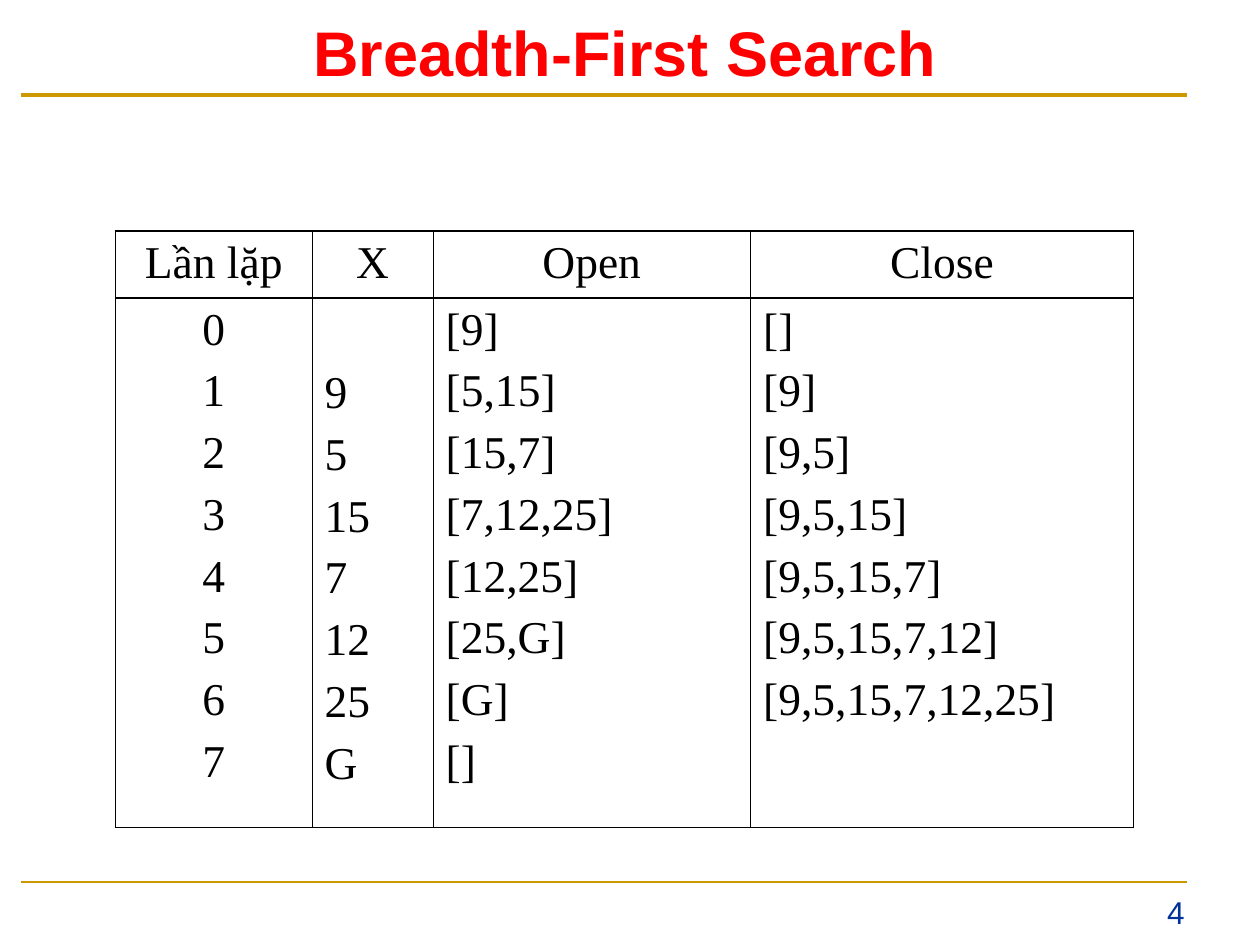
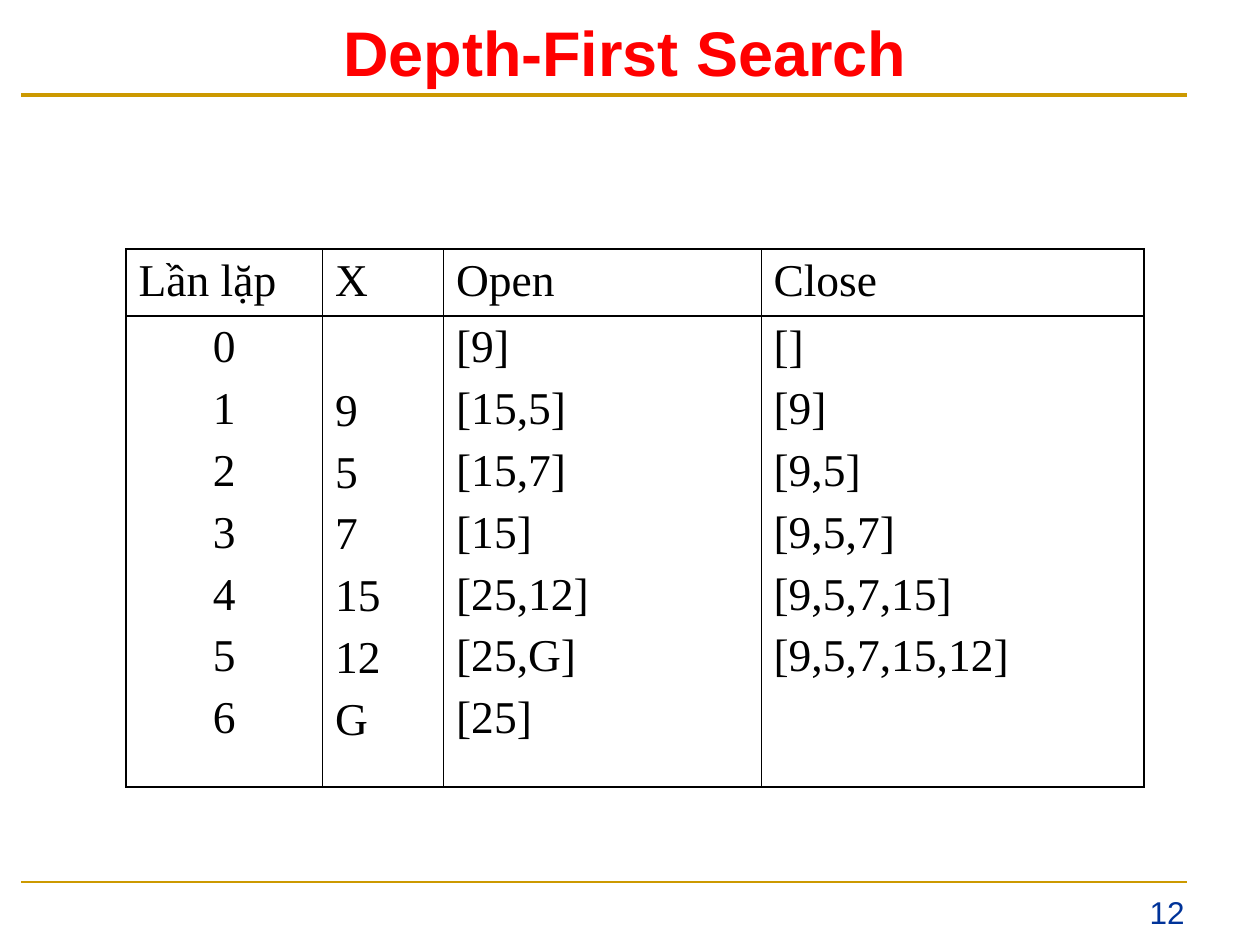
from lxml.etree import SubElement
from pptx import Presentation
from pptx.dml.color import RGBColor
from pptx.enum.shapes import MSO_CONNECTOR
from pptx.enum.text import MSO_ANCHOR, MSO_AUTO_SIZE, PP_ALIGN
from pptx.oxml.ns import qn
from pptx.util import Cm, Pt

RED = RGBColor(0xFF, 0x00, 0x00)
GOLD = RGBColor(0xCC, 0x99, 0x00)
NAVY = RGBColor(0x00, 0x33, 0x99)
BLACK = RGBColor(0x00, 0x00, 0x00)

HEADINGS = ["Lần lặp", "X", "Open", "Close"]
COLUMN_WIDTHS = [Cm(3.96), Cm(2.44), Cm(6.4), Cm(7.72)]
HEADING_HEIGHT = Cm(1.35)
LINE_PITCH = Cm(1.28)
CELL_MARGIN = Cm(0.13)
THIN, THICK = Pt(0.45), Pt(1.08)

BREADTH_FIRST = [
    ["0", "1", "2", "3", "4", "5", "6", "7"],
    ["9", "5", "15", "7", "12", "25", "G"],
    ["[9]", "[5,15]", "[15,7]", "[7,12,25]", "[12,25]", "[25,G]", "[G]", "[]"],
    ["[]", "[9]", "[9,5]", "[9,5,15]", "[9,5,15,7]", "[9,5,15,7,12]",
     "[9,5,15,7,12,25]"],
]
DEPTH_FIRST = [
    ["0", "1", "2", "3", "4", "5", "6"],
    ["9", "5", "7", "15", "12", "G"],
    ["[9]", "[15,5]", "[15,7]", "[15]", "[25,12]", "[25,G]", "[25]"],
    ["[]", "[9]", "[9,5]", "[9,5,7]", "[9,5,7,15]", "[9,5,7,15,12]"],
]


def style_paragraph(paragraph, align, name, size, color, bold=False):
    paragraph.alignment = align
    font = paragraph.font
    font.name, font.size, font.bold = name, size, bold
    font.color.rgb = color


def add_rule(slide, top, weight):
    rule = slide.shapes.add_connector(
        MSO_CONNECTOR.STRAIGHT, Cm(0.43), top, Cm(23.93), top)
    rule.line.color.rgb = GOLD
    rule.line.width = weight
    SubElement(rule._element.spPr, qn("a:effectLst"))


def fill_frame(frame, text, top_margin):
    """Set one unbroken, top-anchored line of text and return its paragraph."""
    frame.text = text
    frame.word_wrap = True
    frame.auto_size = MSO_AUTO_SIZE.NONE
    frame.vertical_anchor = MSO_ANCHOR.TOP
    frame.margin_top = top_margin
    return frame.paragraphs[0]


def add_header(slide, text):
    title = slide.shapes.title
    title.left, title.top, title.width, title.height = 0, 0, Cm(25.2), Cm(1.78)
    paragraph = fill_frame(title.text_frame, text, Cm(0.28))
    paragraph.space_before = Pt(0)
    style_paragraph(paragraph, PP_ALIGN.CENTER, "Arial", Pt(36), RED, True)
    add_rule(slide, Cm(1.91), Pt(2.25))


def add_footer(slide, number):
    add_rule(slide, Cm(17.78), Pt(1.5))
    page = slide.shapes.add_textbox(Cm(19.48), Cm(17.83), Cm(4.65), Cm(1.02))
    paragraph = fill_frame(page.text_frame, str(number), Cm(0.18))
    style_paragraph(paragraph, PP_ALIGN.RIGHT, "Arial", Pt(18), NAVY)


def set_borders(cell, left, right):
    properties = cell._tc.get_or_add_tcPr()
    for side, width in zip("LRTB", (left, right, THICK, THICK)):
        line = SubElement(properties, qn(f"a:ln{side}"), w=str(int(width)))
        fill = SubElement(line, qn("a:solidFill"))
        SubElement(fill, qn("a:srgbClr"), val=str(BLACK))


def fill_cell(cell, lines, align):
    cell.text = "\n".join(lines)
    cell.vertical_anchor = MSO_ANCHOR.TOP
    cell.margin_top = cell.margin_bottom = CELL_MARGIN
    for index, paragraph in enumerate(cell.text_frame.paragraphs):
        style_paragraph(paragraph, align, "Times New Roman", Pt(26), BLACK)
        if index:
            paragraph.space_before = Pt(6.5)


def add_trace_table(slide, left, top, steps_height, heading_align, steps):
    """Add the search trace; column X starts one step below the others."""
    table = slide.shapes.add_table(
        2, len(HEADINGS), left, top, sum(COLUMN_WIDTHS),
        HEADING_HEIGHT + steps_height).table
    table.first_row = table.horz_banding = False
    table.rows[0].height, table.rows[1].height = HEADING_HEIGHT, steps_height
    last = len(HEADINGS) - 1
    for col, width in enumerate(COLUMN_WIDTHS):
        table.columns[col].width = width
        heading, body = table.cell(0, col), table.cell(1, col)
        fill_cell(heading, [HEADINGS[col]], heading_align)
        fill_cell(body, steps[col],
                  PP_ALIGN.JUSTIFY if col else PP_ALIGN.CENTER)
        if HEADINGS[col] == "X":
            body.margin_top = CELL_MARGIN + LINE_PITCH
        for cell in (heading, body):
            set_borders(cell, THIN if col else THICK,
                        THICK if col == last else THIN)
            cell.fill.background()


def add_search_slide(deck, title, number, *trace):
    slide = deck.slides.add_slide(deck.slide_layouts.get_by_name("Title Only"))
    add_header(slide, title)
    add_trace_table(slide, *trace)
    add_footer(slide, number)


def main():
    deck = Presentation()
    deck.slide_width, deck.slide_height = Cm(25.4), Cm(19.05)
    add_search_slide(deck, "Breadth-First Search", 4, Cm(2.33), Cm(4.66),
                     Cm(10.67), PP_ALIGN.CENTER, BREADTH_FIRST)
    add_search_slide(deck, "Depth-First Search", 12, Cm(2.54), Cm(5.02),
                     Cm(9.5), PP_ALIGN.JUSTIFY, DEPTH_FIRST)
    deck.save("out.pptx")


if __name__ == "__main__":
    main()
